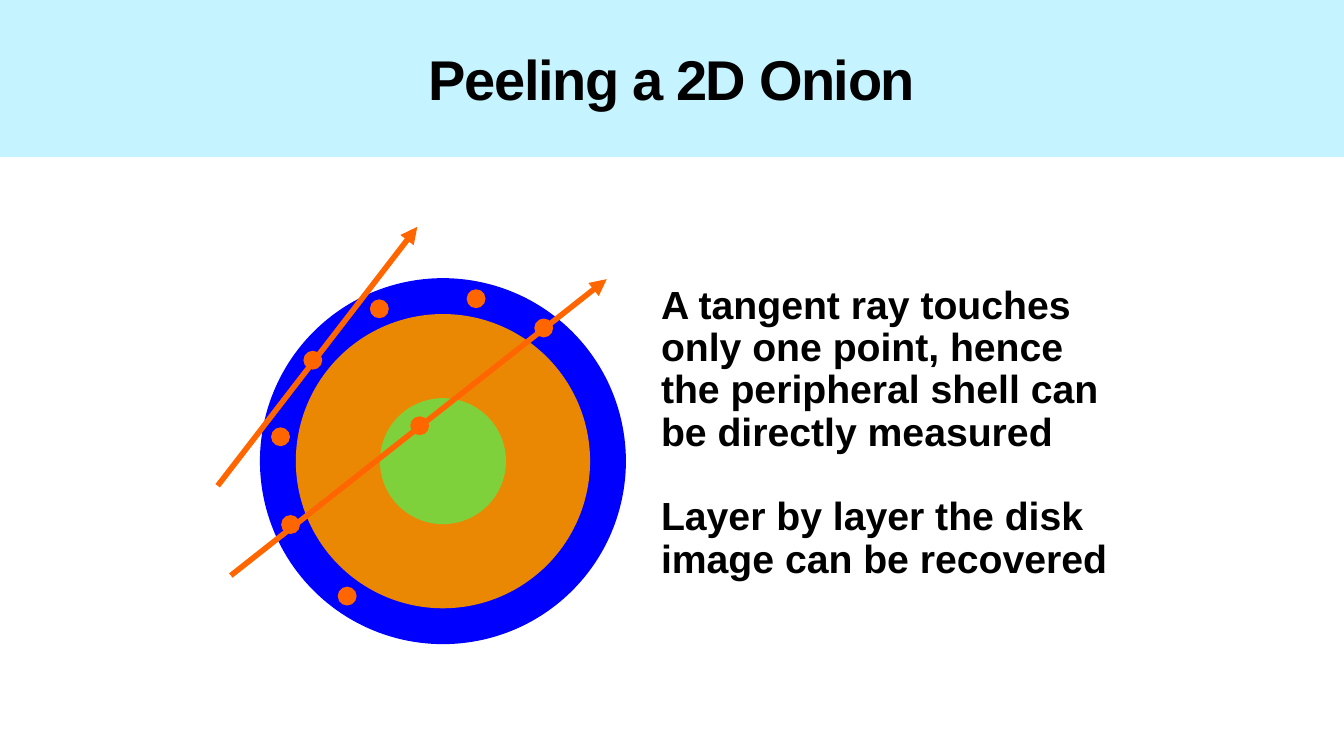
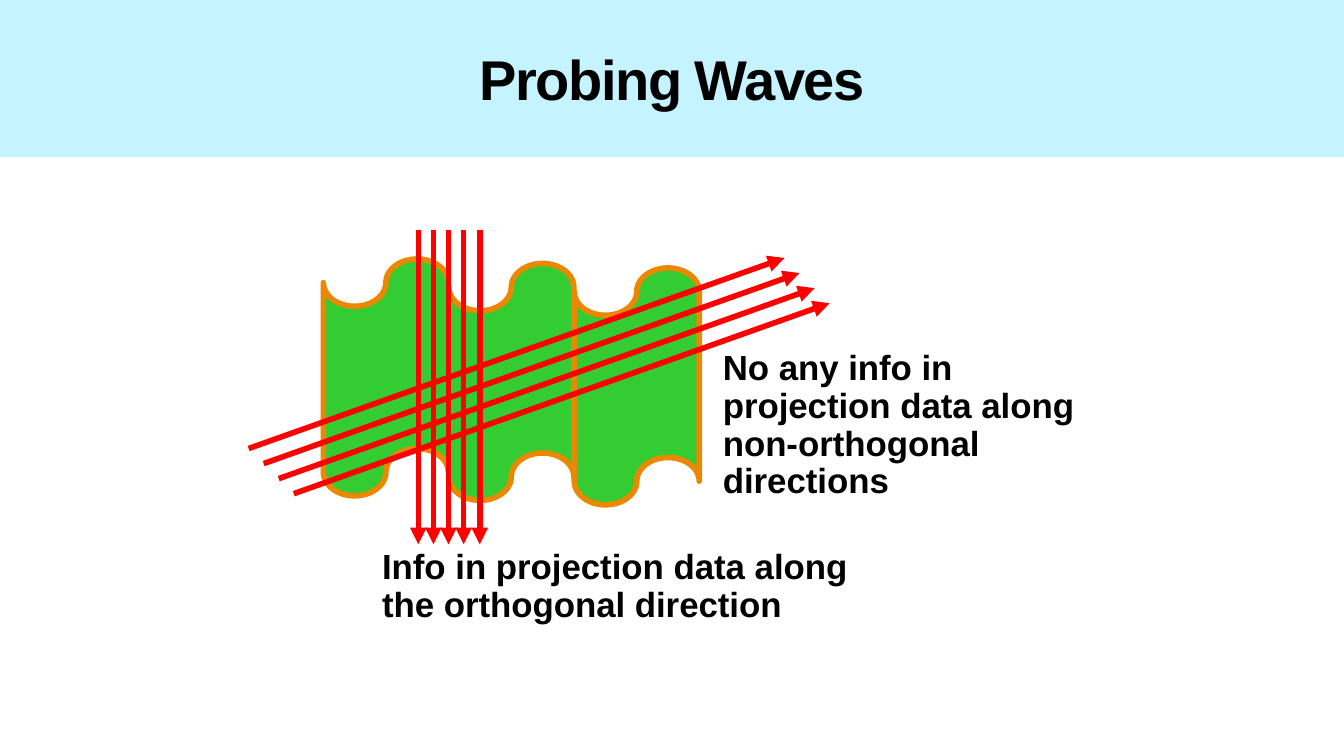
from collections import namedtuple
from dataclasses import dataclass

from lxml.etree import SubElement
from pptx import Presentation
from pptx.dml.color import RGBColor as RGB
from pptx.enum.shapes import MSO_CONNECTOR as LINK, MSO_SHAPE as SHAPE
from pptx.enum.text import MSO_ANCHOR as ANCHOR, MSO_AUTO_SIZE as FIT, PP_ALIGN as ALIGN
from pptx.oxml.ns import qn
from pptx.util import Pt

Box = namedtuple("Box", "left top width height")
Note = namedtuple("Note", "box size inset gap lines")


@dataclass(frozen=True)
class Theme:
    font: str = "Arial"
    ink: str = "000000"
    band: str = "C5F3FF"
    shell: str = "0000FF"
    flesh: str = "EB8803"
    core: str = "7FD13B"
    orange: str = "FF6600"
    wave: str = "33CC33"
    red: str = "FF0000"
    title: float = 40
    body: float = 28
    label: float = 24.9
    stroke: float = 4
    leading: float = 0.9


THEME = Theme()
WIDE, HIGH, BAND = 960, 540, 112.3

# Onion: rings share one centre; dots are given by their centres.
CENTRE = (316.4, 329.4)
RINGS = [(261.4, THEME.shell), (210.2, THEME.flesh), (90, THEME.core)]
DOT = 13.5
DOTS = [(388.4, 234.3), (340.1, 213.4), (207.6, 374.7), (200.4, 312),
        (223.5, 257.3), (271, 220.6), (248, 425.8), (299.8, 304.1)]
BEAMS = [((164.9, 411.1), (433.4, 199.4)), ((155.5, 347), (298.1, 162))]
ONION = Note(Box(465.1, 200.2, 340.6, 221.8), THEME.body, (7.2, 3.6), 30.2, [
    "A tangent ray touches only one point, hence the peripheral shell can "
    "be directly measured",
    "Layer by layer the disk image can be recovered",
])

# Waves: three tapes side by side, crossed by two families of rays.
TAPE = Box(231, 185, 89.3, 169.2)
TAPES, TAPE_STEP = 3, (89.6, 3.2)
DOWN_X, DOWN_Y = (298.8, 309.6, 320.4, 331.2, 342.7), (164.2, 388.8)
SLANT = ((177.6, 320.4), (560.4, 184.3))
SLANTS, SLANT_STEP = 4, 10.75
WAVES = [
    Note(Box(509.8, 247.7, 274.3, 115.2), THEME.label, (6.5, 2.9), 0, [
        "No any info in projection data along non-orthogonal directions"]),
    Note(Box(266.4, 389.5, 383, 60.5), THEME.label, (6.5, 2.9), 0, [
        "Info in projection data along the orthogonal direction"]),
]


def color(code):
    return RGB.from_string(code)


def style(para, size):
    for run in para.runs:
        font = run.font
        font.name, font.size, font.bold = THEME.font, Pt(size), True
        font.color.rgb = color(THEME.ink)


def start(deck, text):
    """Add a slide with its title band."""
    slide = deck.slides.add_slide(deck.slide_layouts[5])
    title = slide.shapes.title
    title.left, title.top, title.width, title.height = 0, 0, Pt(WIDE), Pt(BAND)
    title.fill.solid()
    title.fill.fore_color.rgb = color(THEME.band)
    frame = title.text_frame
    frame.text = text
    frame.auto_size, frame.vertical_anchor = FIT.NONE, ANCHOR.MIDDLE
    para = frame.paragraphs[0]
    para.alignment = ALIGN.CENTER
    style(para, THEME.title)
    para.runs[0].font._element.set("spc", "-100")
    return slide


def draw(slide, kind, box, fill, edge=None):
    shape = slide.shapes.add_shape(kind, *map(Pt, box))
    shape.shadow.inherit = False
    shape.fill.solid()
    shape.fill.fore_color.rgb = color(fill)
    if edge:
        shape.line.color.rgb = color(edge)
        shape.line.width = Pt(THEME.stroke)
    else:
        shape.line.fill.background()


def disk(slide, centre, size, fill):
    x, y = centre
    draw(slide, SHAPE.OVAL, Box(x - size / 2, y - size / 2, size, size), fill)


def ray(slide, tail, tip, tint):
    link = slide.shapes.add_connector(LINK.STRAIGHT, *map(Pt, (*tail, *tip)))
    link.line.color.rgb = color(tint)
    link.line.width = Pt(THEME.stroke)
    props = link._element.spPr
    SubElement(props.find(qn("a:ln")), qn("a:tailEnd"), type="triangle")
    SubElement(props, qn("a:effectLst"))


def write(slide, note):
    frame = slide.shapes.add_textbox(*map(Pt, note.box)).text_frame
    frame.word_wrap, frame.auto_size = True, FIT.SHAPE_TO_FIT_TEXT
    side, edge = map(Pt, note.inset)
    frame.margin_left = frame.margin_right = side
    frame.margin_top = frame.margin_bottom = edge
    for i, line in enumerate(note.lines):
        para = frame.add_paragraph() if i else frame.paragraphs[0]
        para.text = line
        para.line_spacing = THEME.leading
        if i:
            para.space_before = Pt(note.gap)
        style(para, note.size)


def onion(deck):
    slide = start(deck, "Peeling a 2D Onion")
    for size, fill in RINGS:
        disk(slide, CENTRE, size, fill)
    for spot in DOTS:
        disk(slide, spot, DOT, THEME.orange)
    for tail, tip in BEAMS:
        ray(slide, tail, tip, THEME.orange)
    write(slide, ONION)


def waves(deck):
    slide = start(deck, "Probing Waves")
    across, down = TAPE_STEP
    for i in range(TAPES):
        box = TAPE._replace(left=TAPE.left + i * across, top=TAPE.top + i * down)
        draw(slide, SHAPE.FLOWCHART_PUNCHED_TAPE, box, THEME.wave, THEME.flesh)
    top, base = DOWN_Y
    for x in DOWN_X:
        ray(slide, (x, top), (x, base), THEME.red)
    for i in range(SLANTS):
        tail, tip = [(x + i * SLANT_STEP, y + i * SLANT_STEP) for x, y in SLANT]
        ray(slide, tail, tip, THEME.red)
    for note in WAVES:
        write(slide, note)


def main():
    deck = Presentation()
    deck.slide_width, deck.slide_height = Pt(WIDE), Pt(HIGH)
    onion(deck)
    waves(deck)
    deck.save("out.pptx")


if __name__ == "__main__":
    main()
